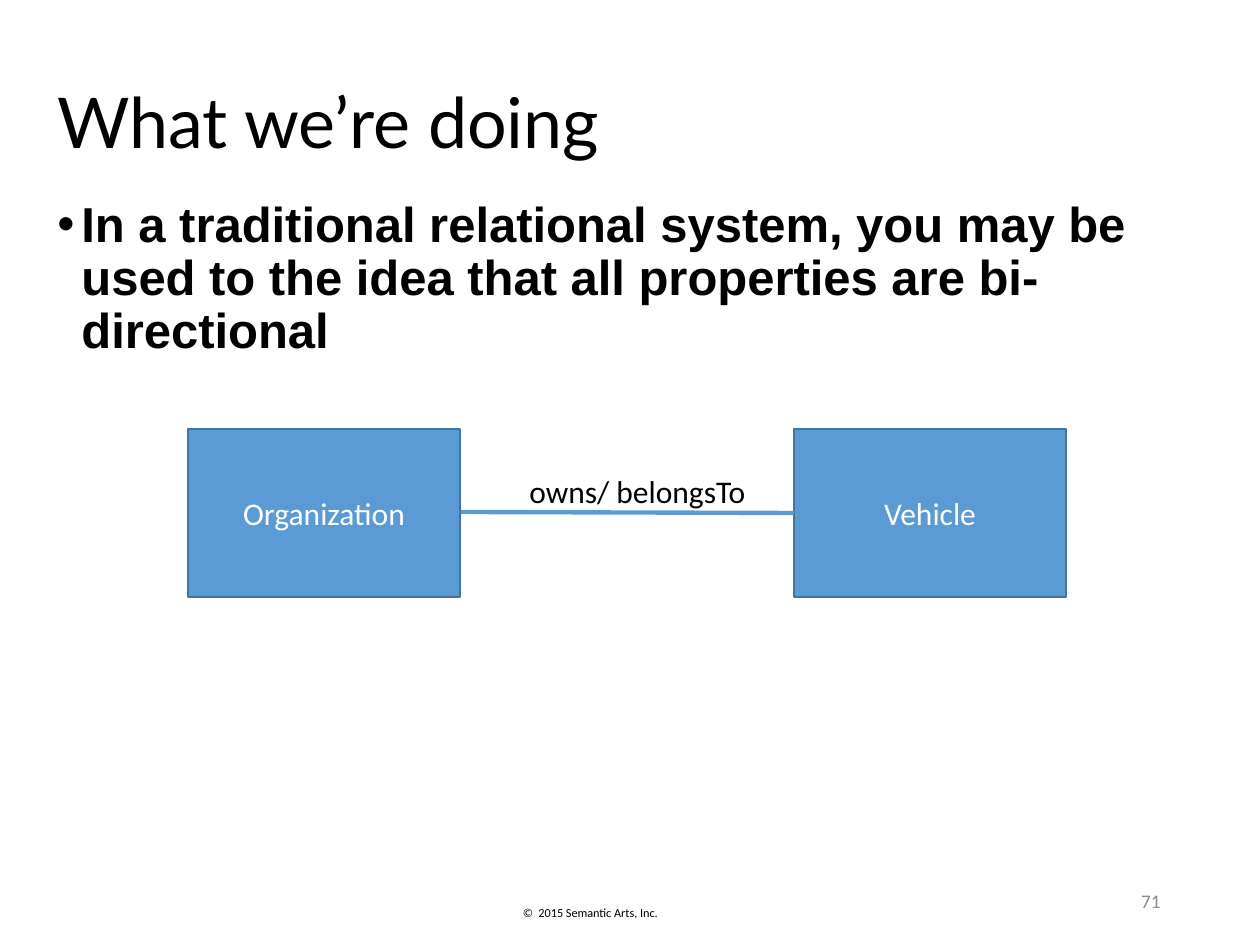
from lxml.etree import SubElement
from pptx import Presentation
from pptx.dml.color import RGBColor
from pptx.enum.shapes import MSO_CONNECTOR as Connector, MSO_SHAPE as Shape
from pptx.enum.text import MSO_ANCHOR as Anchor, PP_ALIGN as Align
from pptx.oxml.ns import qn
from pptx.util import Emu, Pt

SCALE = 914400 / 126
BLACK = RGBColor(0x00, 0x00, 0x00)
WHITE = RGBColor(0xFF, 0xFF, 0xFF)
GRAY = RGBColor(0x8C, 0x8C, 0x8C)
BLUE = RGBColor(0x5B, 0x9B, 0xD5)
DARK_BLUE = RGBColor(0x43, 0x73, 0x9E)


def px(n):
    return Emu(round(n * SCALE))


def set_all(obj, values):
    for name, value in values.items():
        setattr(obj, name, value)


def write(sp, text, size, color=BLACK, font="Calibri", bold=False,
          frame=None, para=None):
    tf = sp.text_frame
    set_all(tf, {"word_wrap": True, **(frame or {})})
    p = tf.paragraphs[0]
    set_all(p, para or {})
    r = p.add_run()
    r.text = text
    set_all(r.font, {"name": font, "size": Pt(size), "bold": bold})
    r.font.color.rgb = color
    return p


def add_text(s, box, text, size, **style):
    sp = s.shapes.add_textbox(*map(px, box))
    return write(sp, text, size, **style)


def add_bullet(p, indent):
    pPr = p._p.get_or_add_pPr()
    pPr.set("marL", str(px(indent)))
    pPr.set("indent", str(-px(indent)))
    SubElement(pPr, qn("a:buFont"), typeface="Arial")
    SubElement(pPr, qn("a:buChar"), char="•")


def add_entity(s, box, name):
    sp = s.shapes.add_shape(Shape.RECTANGLE, *map(px, box))
    sp.shadow.inherit = False
    sp.fill.solid()
    sp.fill.fore_color.rgb = BLUE
    sp.line.color.rgb = DARK_BLUE
    sp.line.width = Pt(1)
    write(sp, name, 18, color=WHITE, frame={"vertical_anchor": Anchor.MIDDLE},
          para={"alignment": Align.CENTER})


def add_link(s, start, end):
    line = s.shapes.add_connector(Connector.STRAIGHT, *map(px, start + end))
    line.line.color.rgb = BLUE
    line.line.width = Pt(2.5)
    SubElement(line._element.spPr, qn("a:effectLst"))


def main():
    prs = Presentation()
    prs.slide_width, prs.slide_height = px(1260), px(945)
    s = prs.slides.add_slide(prs.slide_layouts[6])

    add_text(s, (494, 895, 179, 31), "©  2015 Semantic Arts, Inc. ", 7,
             frame={"vertical_anchor": Anchor.BOTTOM},
             para={"alignment": Align.RIGHT})
    add_text(s, (45, 33, 1163, 185), "What we’re doing", 40, font="Lato",
             frame={"vertical_anchor": Anchor.MIDDLE},
             para={"line_spacing": 0.9})
    p = add_text(s, (45, 194, 1163, 134),
                 "In a traditional relational system, you may be used to the "
                 "idea that all properties are bi-directional",
                 28, font="Arial", bold=True, para={"line_spacing": 0.9})
    add_bullet(p, 24)

    for left, name in ((188, "Organization"), (794, "Vehicle")):
        add_entity(s, (left, 429, 272, 168), name)
    add_link(s, (461, 512), (794, 513))
    add_text(s, (517, 466, 244, 50), "owns/ belongsTo", 18,
             frame={"word_wrap": False})
    add_text(s, (890, 876, 283, 50), "71", 11, color=GRAY,
             frame={"vertical_anchor": Anchor.MIDDLE},
             para={"alignment": Align.RIGHT})

    prs.save("out.pptx")


if __name__ == "__main__":
    main()
